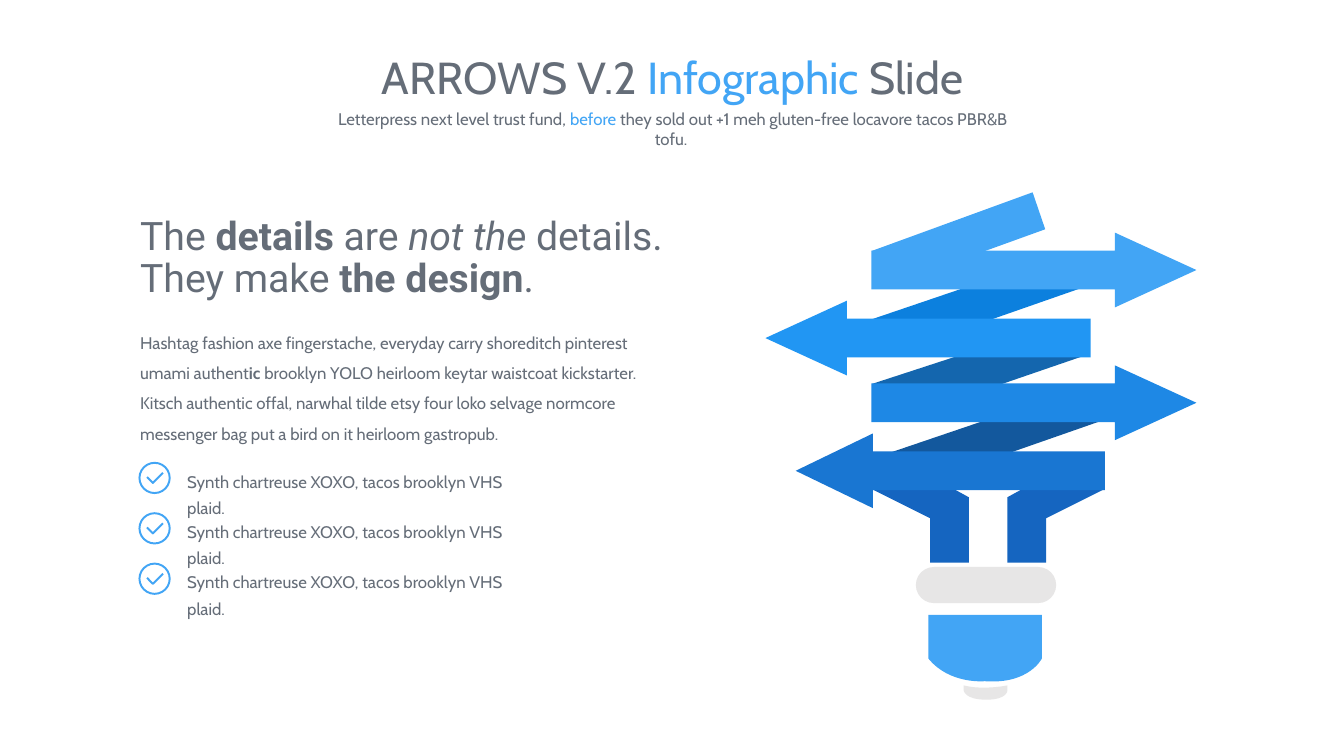
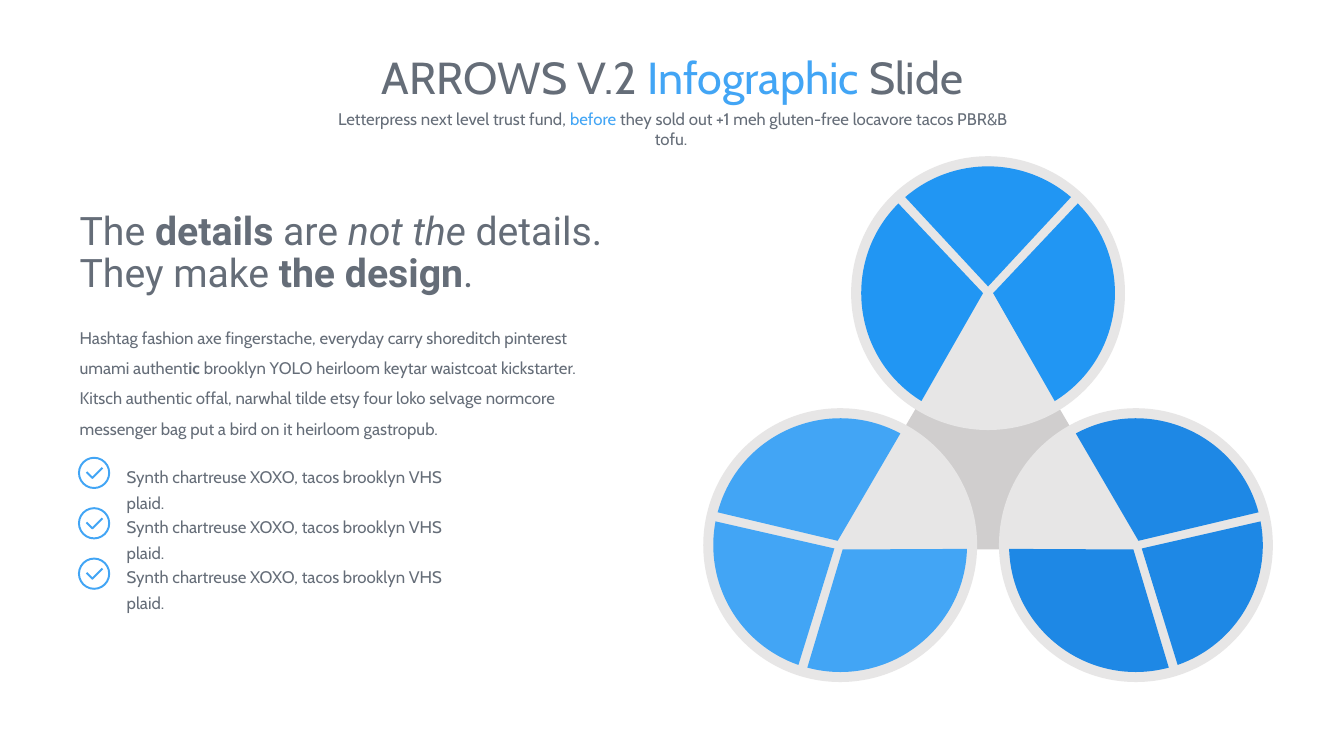
import math
from dataclasses import dataclass

import pptx
import pptx.util
from pptx.dml.color import RGBColor
from pptx.enum.shapes import MSO_SHAPE
from pptx.enum.text import MSO_ANCHOR, MSO_AUTO_SIZE, PP_ALIGN
from pptx.oxml.ns import qn
from pptx.oxml.xmlchemy import OxmlElement


@dataclass(frozen=True)
class Theme:
    text: str = "656D78"
    white: str = "FFFFFF"
    grey: str = "E7E6E6"
    dark_grey: str = "D0CECE"
    light_blue: str = "42A5F5"
    blue: str = "2196F3"
    strong_blue: str = "1E88E5"
    deep_blue: str = "1976D2"
    stem_blue: str = "1565C0"
    fold_blues: tuple = ("0C80DE", "1466AE", "13589D")
    body_font: str = "Cabin"
    headline_font: str = "Roboto"
    title_size: int = 32
    headline_size: int = 28
    body_size: int = 12
    check_line: float = 1.38


THEME = Theme()
SLIDE_WIDTH = pptx.util.Inches(13.33)
SLIDE_HEIGHT = pptx.util.Inches(7.5)
CELL = SLIDE_HEIGHT / 9  # square grid: 16 columns by 9 rows

TITLE = [("ARROWS V.2 ", {}), ("Infographic ", {"color": THEME.light_blue}), ("Slide", {})]
SUBTITLE = [
    ("Letterpress next level trust fund, ", {}),
    ("before", {"color": THEME.light_blue}),
    (" they sold out +1 meh gluten-free locavore tacos PBR&B tofu. ", {}),
]
HEADLINE = [
    ("The ", {}), ("details", {"bold": True}), (" are ", {}), ("not the ", {"italic": True}),
    ("details. They make ", {}), ("the design", {"bold": True}), (".", {}),
]
BODY = [
    ("Hashtag fashion axe fingerstache, everyday carry shoreditch pinterest umami authent", {}),
    ("ic ", {"bold": True}),
    ("brooklyn YOLO heirloom keytar waistcoat kickstarter. Kitsch authentic offal, narwhal "
     "tilde etsy four loko selvage normcore messenger bag put a bird on it heirloom "
     "gastropub.", {}),
]
CHECK_ITEMS = ["Synth chartreuse XOXO, tacos brooklyn VHS plaid."] * 3


def grid(*cells):
    """Turn grid columns or rows into slide lengths."""
    return [pptx.util.Emu(round(cell * CELL)) for cell in cells]


def rgb(color):
    return RGBColor.from_string(color)


def write(frame, runs, size=THEME.body_size, font=THEME.body_font,
          align=PP_ALIGN.LEFT, spacing=1.0):
    """Fill a text frame with one paragraph of (text, format) runs."""
    frame.word_wrap = True
    frame.auto_size = MSO_AUTO_SIZE.SHAPE_TO_FIT_TEXT
    frame.vertical_anchor = MSO_ANCHOR.TOP
    paragraph = frame.paragraphs[0]
    paragraph.alignment = align
    paragraph.line_spacing = spacing
    for text, style in runs:
        run = paragraph.add_run()
        run.text = text
        run.font.size = pptx.util.Pt(size)
        run.font.name = font
        run.font.bold = style.get("bold", False)
        run.font.italic = style.get("italic", False)
        run.font.color.rgb = rgb(style.get("color", THEME.text))


def add_text(slide, box, runs, **style):
    write(slide.shapes.add_textbox(*grid(*box)).text_frame, runs, **style)


def paint(shape, fill, line=None):
    shape.shadow.inherit = False
    shape.fill.solid()
    shape.fill.fore_color.rgb = rgb(fill)
    if line:
        shape.line.color.rgb = rgb(line)
        shape.line.width = pptx.util.Pt(THEME.check_line)
    else:
        shape.line.fill.background()


def add_preset(slide, kind, box, fill, line=None, adjustments=()):
    shape = slide.shapes.add_shape(kind, *grid(*box))
    for index, value in enumerate(adjustments):
        shape.adjustments[index] = value
    paint(shape, fill, line)


def add_outline(slide, points, fill, line=None, close=True):
    start, *rest = [grid(*point) for point in points]
    builder = slide.shapes.build_freeform(*start)
    builder.add_line_segments(rest, close=close)
    shape = builder.convert_to_shape()
    paint(shape, fill, line)
    return shape


def bezier_point(corners, t):
    weights = ((1 - t) ** 3, 3 * t * (1 - t) ** 2, 3 * t ** 2 * (1 - t), t ** 3)
    return [sum(w * corner[axis] for w, corner in zip(weights, corners)) for axis in (0, 1)]


def add_curved(slide, start, moves, fill):
    """Add a closed outline; a move holds one point (line) or three (Bezier curve)."""
    shape = add_outline(slide, [start, *(point for move in moves for point in move)], fill)
    route = next(shape.element.iter(qn("a:path")))
    lines = iter(route.findall(qn("a:lnTo")))
    edge, pen = [start], start
    for move in moves:
        segments = [next(lines) for _ in move]
        if len(move) == 3:
            bend = OxmlElement("a:cubicBezTo")
            segments[0].addprevious(bend)
            for segment in segments:
                bend.append(segment[0])
                route.remove(segment)
            edge += [bezier_point((pen, *move), step / 32) for step in range(33)]
        pen = move[-1]
        edge.append(pen)

    # Fit the frame to the drawn edge, leaving out the control points
    xs, ys = zip(*edge)
    left, top, right, bottom = grid(min(xs), min(ys), max(xs), max(ys))
    for point in route.iter(qn("a:pt")):
        point.set("x", str(int(point.get("x")) + shape.left - left))
        point.set("y", str(int(point.get("y")) + shape.top - top))
    shape.left, shape.top = left, top
    shape.width, shape.height = right - left, bottom - top
    route.set("w", str(right - left))
    route.set("h", str(bottom - top))


def polar(center, radius, degrees):
    """Point at an angle measured clockwise from twelve o'clock."""
    angle = math.radians(degrees)
    return center[0] + radius * math.sin(angle), center[1] - radius * math.cos(angle)


def add_check(slide, left, top):
    add_preset(slide, MSO_SHAPE.OVAL, (left, top, 0.36, 0.36), THEME.white, THEME.light_blue)
    tick = [(left + x, top + y) for x, y in ((0.09, 0.17), (0.16, 0.24), (0.28, 0.12))]
    add_outline(slide, tick, THEME.white, THEME.light_blue, close=False)


def start_slide(deck):
    """Add a slide with the shared title and subtitle."""
    slide = deck.slides.add_slide(deck.slide_layouts.get_by_name("Title Only"))
    title = slide.shapes.title
    title.left, title.top, title.width, title.height = grid(3.05, 0.53, 9.91, 0.77)
    write(title.text_frame, TITLE, size=THEME.title_size, align=PP_ALIGN.CENTER)
    add_text(slide, (3.84, 1.23, 8.34, 0.36), SUBTITLE, align=PP_ALIGN.CENTER)
    return slide


def add_story(slide, left, top):
    """Add the headline, body text and check list from one corner."""
    add_text(slide, (left, top, 6.55, 1.14), HEADLINE, size=THEME.headline_size,
             font=THEME.headline_font, spacing=0.9)
    add_text(slide, (left, top + 1.26, 6.38, 1.57), BODY, spacing=1.5)
    for row, item in enumerate(CHECK_ITEMS):
        item_top = top + 2.99 + 0.6 * row
        add_check(slide, left + 0.11, item_top)
        add_text(slide, (left + 0.56, item_top - 0.03, 4.26, 0.41), [(item, {})], spacing=1.3)


def add_bulb(slide):
    """Draw the lamp whose coil is made of folded arrows."""
    axis = 11.76
    leg = [(13.15, 5.82), (12.45, 6.17), (12.45, 6.7), (11.99, 6.7), (11.99, 5.92), (12.19, 5.81)]
    add_outline(slide, leg, THEME.stem_blue)
    add_outline(slide, [(2 * axis - x, y) for x, y in leg], THEME.stem_blue)

    folds = [
        [(12.84, 3.44), (11.81, 3.8), (10.38, 3.8), (11.44, 3.44)],
        [(12.86, 4.25), (11.93, 4.57), (10.38, 4.57), (11.36, 4.25)],
        [(13.08, 5.02), (12.05, 5.38), (10.62, 5.38), (11.68, 5.02)],
    ]
    for fold, color in zip(folds, THEME.fold_blues):
        add_outline(slide, fold, color)
    coil_end = [(12.29, 2.29), (12.44, 2.73), (11.72, 2.99), (10.37, 2.99)]
    add_outline(slide, coil_end, THEME.light_blue)

    arrow_height, shaft_share = 0.89, 0.52
    right, left = MSO_SHAPE.RIGHT_ARROW, MSO_SHAPE.LEFT_ARROW
    for direction, x, y, width, head, color in (
        (right, 10.37, 2.77, 3.87, 0.97, THEME.light_blue),
        (left, 9.11, 3.58, 3.87, 0.97, THEME.blue),
        (right, 10.37, 4.35, 3.87, 0.97, THEME.strong_blue),
        (left, 9.47, 5.16, 3.68, 0.92, THEME.deep_blue),
    ):
        add_preset(slide, direction, (x, y, width, arrow_height), color,
                   adjustments=(shaft_share, head / arrow_height))

    add_preset(slide, MSO_SHAPE.ROUNDED_RECTANGLE, (10.9, 6.75, 1.67, 0.43), THEME.grey,
               adjustments=(0.5,))
    add_curved(slide, (12.4, 7.84), [
        [(12.4, 7.84), (12.25, 8.15), (11.72, 8.11)],
        [(11.72, 8.11), (11.3, 8.15), (11.05, 7.84)],
        [(11.05, 7.32)],
        [(12.4, 7.32)],
    ], THEME.light_blue)
    add_curved(slide, (11.99, 8.16), [
        [(11.99, 8.22)],
        [(11.99, 8.22), (11.99, 8.33), (11.74, 8.33)],
        [(11.48, 8.33), (11.47, 8.22), (11.47, 8.22)],
        [(11.47, 8.16)],
        [(11.7, 8.22), (11.99, 8.16), (11.99, 8.16)],
    ], THEME.grey)


def add_wedge(slide, center, start, end, apex, color):
    radius = 1.51
    # Handle length for which one Bezier curve follows the arc
    handle = 4 / 3 * math.tan(math.radians(end - start) / 4) * radius
    first, last = polar(center, radius, start), polar(center, radius, end)
    arc = [polar(first, handle, start + 90), polar(last, handle, end - 90), last]
    add_curved(slide, first, [arc, [apex]], color)


def add_wheel(slide, center, turn, color):
    """Draw a disc with three wedges; turn rotates its open sector."""
    x, y = center
    rim = 1.63
    add_preset(slide, MSO_SHAPE.OVAL, (x - rim, y - rim, 2 * rim, 2 * rim), THEME.grey)
    # Start angle, end angle, apex angle and apex distance from the centre
    for start, end, apex_angle, apex_gap in (
        (-40.8, 40.8, 0, 0.08), (45, 148.3, 90, 0.06), (211.7, 315, 270, 0.06),
    ):
        apex = polar(center, apex_gap, turn + apex_angle)
        add_wedge(slide, center, turn + start, turn + end, apex, color)


def add_wheels(slide):
    add_preset(slide, MSO_SHAPE.ISOSCELES_TRIANGLE, (9.92, 3.4, 3.67, 3.14), THEME.dark_grey)
    add_wheel(slide, (11.76, 3.49), 0, THEME.blue)
    add_wheel(slide, (10, 6.49), -120, THEME.light_blue)
    add_wheel(slide, (13.52, 6.49), 120, THEME.strong_blue)


def main():
    deck = pptx.Presentation()
    deck.slide_width, deck.slide_height = SLIDE_WIDTH, SLIDE_HEIGHT

    bulb_slide = start_slide(deck)
    add_bulb(bulb_slide)
    add_story(bulb_slide, 1.55, 2.52)

    wheel_slide = start_slide(deck)
    add_wheels(wheel_slide)
    add_story(wheel_slide, 0.83, 2.46)

    deck.save("out.pptx")


if __name__ == "__main__":
    main()
